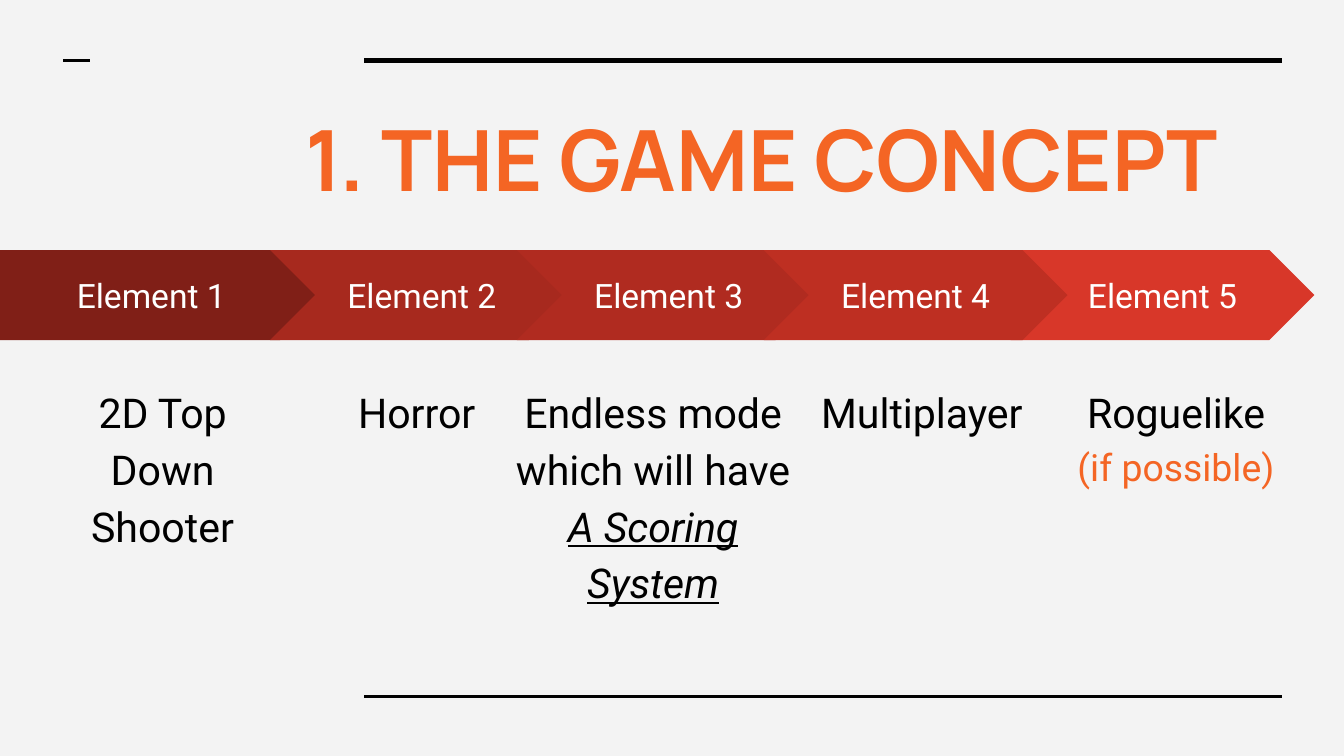
import pptx
import pptx.util
import pptx.dml.color
import pptx.enum.shapes
import pptx.enum.text
import pptx.oxml.ns
from lxml import etree

Pt = pptx.util.Pt
SHAPE = pptx.enum.shapes.MSO_SHAPE
ANCHOR = pptx.enum.text.MSO_ANCHOR
CENTER = pptx.enum.text.PP_ALIGN.CENTER

THEME = {
    "background": "F3F3F3", "ink": "000000", "accent": "F46524", "light": "FFFFFF",
    "title_font": "Manrope", "body_font": "Roboto",
    "title_size": 45.2, "label_size": 18, "body_size": 22, "note_size": 20,
}

TITLE = "THE GAME CONCEPT"
# label, fill, centre and width of the description, description as (text, style) runs
ELEMENTS = [
    ("Element 1", "801F17", 87.1, 128.2, [("2D Top Down Shooter", "plain")]),
    ("Element 2", "A7291E", 223.2, 128.2, [("Horror", "plain")]),
    ("Element 3", "B02B20", 349.9, 180,
     [("Endless mode which will have ", "plain"), ("A Scoring System", "stress")]),
    ("Element 4", "BE2F22", 493.9, 128.2, [("Multiplayer", "plain")]),
    ("Element 5", "D83729", 630, 128.2,
     [("Roguelike ", "plain"), ("(if possible)", "note")]),
]
DRAW_ORDER = [0, 1, 2, 4, 3]  # the tip of step 4 lies over step 5
RULES = [  # left, right, y, weight
    (195.1, 686.9, 32.4, 3),
    (195.1, 686.9, 373, 1.5),
    (33.8, 48.2, 32.4, 1.5),
]

ARROW_TOP, ARROW_HEIGHT = 134, 48.2
FIRST_WIDTH, STEP_WIDTH = 174.2, 162.7
STEP_LEFT, STEP_PITCH = 144.7, 132.25
BODY_TOP, BODY_HEIGHT = 196.6, 169.9
INSET = 7.2


def rgb(value):
    return pptx.dml.color.RGBColor.from_string(value)


def set_font(font, name, size, color):
    font.name, font.size = name, Pt(size)
    font.color.rgb = rgb(color)


def prepare(tf, anchor):
    tf.word_wrap = True
    tf.auto_size = pptx.enum.text.MSO_AUTO_SIZE.NONE
    tf.vertical_anchor = anchor
    tf.margin_left = tf.margin_right = tf.margin_top = tf.margin_bottom = Pt(INSET)
    p = tf.paragraphs[0]
    p.alignment = CENTER
    return p


def add_rule(s, left, right, y, weight):
    line = s.shapes.add_connector(
        pptx.enum.shapes.MSO_CONNECTOR.STRAIGHT, Pt(left), Pt(y), Pt(right), Pt(y))
    line.line.color.rgb = rgb(THEME["ink"])
    line.line.width = Pt(weight)
    etree.SubElement(line._element.spPr, pptx.oxml.ns.qn("a:effectLst"))


def add_title(s):
    sp = s.shapes.title
    sp.left, sp.top, sp.width, sp.height = Pt(110.9), Pt(50.4), Pt(599), Pt(49.7)
    sp.text_frame.text = TITLE
    p = prepare(sp.text_frame, ANCHOR.TOP)
    pPr = p._p.get_or_add_pPr()
    pPr.set("marL", str(Pt(36)))
    pPr.set("indent", str(Pt(-40.5)))

    def bullet(tag, parent=pPr, **attributes):
        return etree.SubElement(parent, pptx.oxml.ns.qn(tag), **attributes)

    bullet("a:srgbClr", bullet("a:buClr"), val=THEME["accent"])
    bullet("a:buSzPts", val=str(round(THEME["title_size"] * 100)))
    bullet("a:buFont", typeface=THEME["title_font"])
    bullet("a:buAutoNum", type="arabicPeriod")
    font = p.runs[0].font
    set_font(font, THEME["title_font"], THEME["title_size"], THEME["accent"])
    font.bold = True


def add_arrow(s, i, label, fill):
    if i == 0:
        kind, left, width = SHAPE.PENTAGON, 0, FIRST_WIDTH
    else:
        kind, left, width = SHAPE.CHEVRON, STEP_LEFT + (i - 1) * STEP_PITCH, STEP_WIDTH
    sp = s.shapes.add_shape(kind, Pt(left), Pt(ARROW_TOP), Pt(width), Pt(ARROW_HEIGHT))
    sp.adjustments[0] = 0.5
    sp.shadow.inherit = False
    sp.fill.solid()
    sp.fill.fore_color.rgb = rgb(fill)
    sp.line.fill.background()
    sp.text_frame.text = label
    p = prepare(sp.text_frame, ANCHOR.MIDDLE)
    set_font(p.runs[0].font, THEME["body_font"], THEME["label_size"], THEME["light"])


def add_description(s, center, width, runs):
    sp = s.shapes.add_textbox(
        Pt(center - width / 2), Pt(BODY_TOP), Pt(width), Pt(BODY_HEIGHT))
    p = prepare(sp.text_frame, ANCHOR.TOP)
    p.line_spacing = 1.15
    for text, style in runs:
        r = p.add_run()
        r.text = text
        if style == "note":
            set_font(r.font, THEME["body_font"], THEME["note_size"], THEME["accent"])
        else:
            set_font(r.font, THEME["body_font"], THEME["body_size"], THEME["ink"])
        if style == "stress":
            r.font.italic = r.font.underline = True


def main():
    prs = pptx.Presentation()
    prs.slide_width, prs.slide_height = Pt(720), Pt(405)
    s = prs.slides.add_slide(prs.slide_layouts.get_by_name("Title Only"))
    s.background.fill.solid()
    s.background.fill.fore_color.rgb = rgb(THEME["background"])
    for rule in RULES:
        add_rule(s, *rule)
    add_title(s)
    for i in DRAW_ORDER:
        label, fill, center, width, runs = ELEMENTS[i]
        add_arrow(s, i, label, fill)
        add_description(s, center, width, runs)
    prs.save("out.pptx")


if __name__ == "__main__":
    main()
